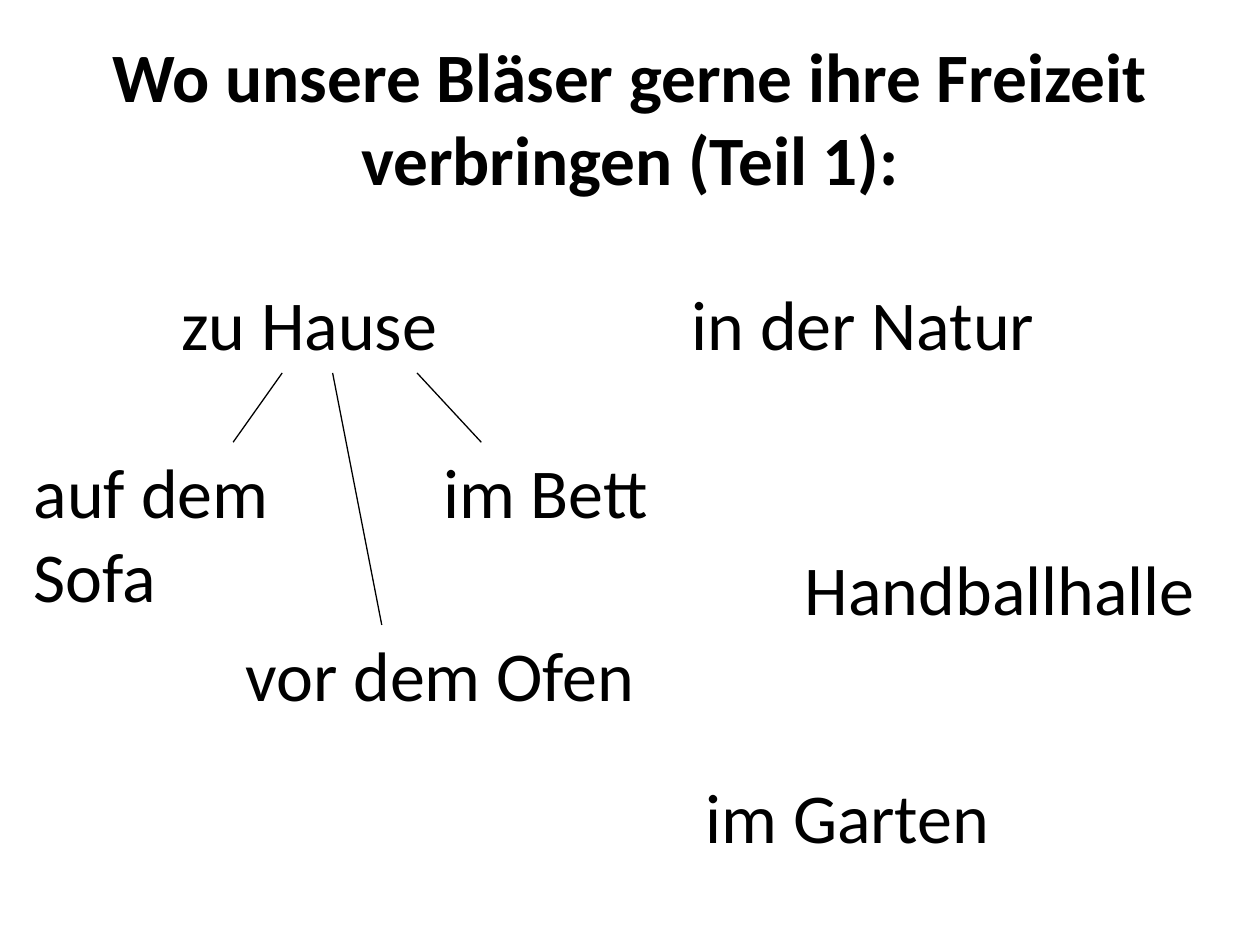
from lxml import etree
from pptx import Presentation
from pptx.dml.color import RGBColor
from pptx.enum.shapes import MSO_CONNECTOR
from pptx.enum.text import MSO_ANCHOR, MSO_AUTO_SIZE, PP_ALIGN
from pptx.oxml.ns import qn
from pptx.util import Inches, Pt

BLACK = RGBColor(0, 0, 0)
FONT = "Calibri"
CENTER, LEFT = PP_ALIGN.CENTER, PP_ALIGN.LEFT
MIDDLE, TOP = MSO_ANCHOR.MIDDLE, MSO_ANCHOR.TOP
FIT, NONE = MSO_AUTO_SIZE.SHAPE_TO_FIT_TEXT, MSO_AUTO_SIZE.NONE
STRAIGHT = MSO_CONNECTOR.STRAIGHT

# Content: rows of the mind map, then words as (text, left, row, width)
TITLE = "Wo unsere Bläser gerne ihre Freizeit verbringen (Teil 1):"
HEAD, LEAF, HALL, OVEN, YARD = 2.18, 3.51, 4.28, 4.96, 6.09
LINE, PAD = 0.67, 0.1  # height of a text line, and box padding
WORDS = [
    ("zu Hause", 1.34, HEAD, 2.76),
    ("in der Natur", 5.39, HEAD, 3.15),
    ("im Garten", 5.5, YARD, 2.76),
    ("Handballhalle", 6.29, HALL, 3.71),
    ("auf dem\vSofa", 0.17, LEAF, 3.26),
    ("im Bett", 3.42, LEAF, 3.26),
    ("vor dem Ofen", 1.85, OVEN, 3.65),
]
# Branches below "zu Hause": (x at head, x at leaf, row of leaf)
STEM = 2.96
LINKS = [(2.24, 1.85, LEAF), (3.31, 3.82, LEAF), (2.64, 3.03, OVEN)]

deck = Presentation()
deck.slide_width, deck.slide_height = Inches(10), Inches(7.5)
slide = deck.slides.add_slide(deck.slide_layouts[5])


def write(shape, text, size=40, bold=False, align=LEFT, anchor=TOP, fit=FIT):
    frame = shape.text_frame
    frame.word_wrap = True
    frame.auto_size = fit
    frame.vertical_anchor = anchor
    para = frame.paragraphs[0]
    para.text = text
    para.alignment = align
    for run in para.runs:
        font = run.font
        font.name, font.size, font.bold = FONT, Pt(size), bold
        font.color.rgb = BLACK


# Title
title = slide.shapes.title
title.left, title.top = Inches(0.5), Inches(0.3)
title.width, title.height = Inches(9), Inches(1.25)
write(title, TITLE, size=39.6, bold=True, align=CENTER, anchor=MIDDLE, fit=NONE)

# Words
for text, left, top, width in WORDS:
    high = PAD + LINE * (1 + text.count("\v"))
    box = slide.shapes.add_textbox(*map(Inches, (left, top, width, high)))
    write(box, text)

# Branches
for start, end, row in LINKS:
    link = slide.shapes.add_connector(
        STRAIGHT, *map(Inches, (start, STEM, end, row)))
    link.line.color.rgb = BLACK
    link.line.width = Pt(0.75)
    etree.SubElement(link._element.spPr, qn("a:effectLst"))

deck.save("out.pptx")
